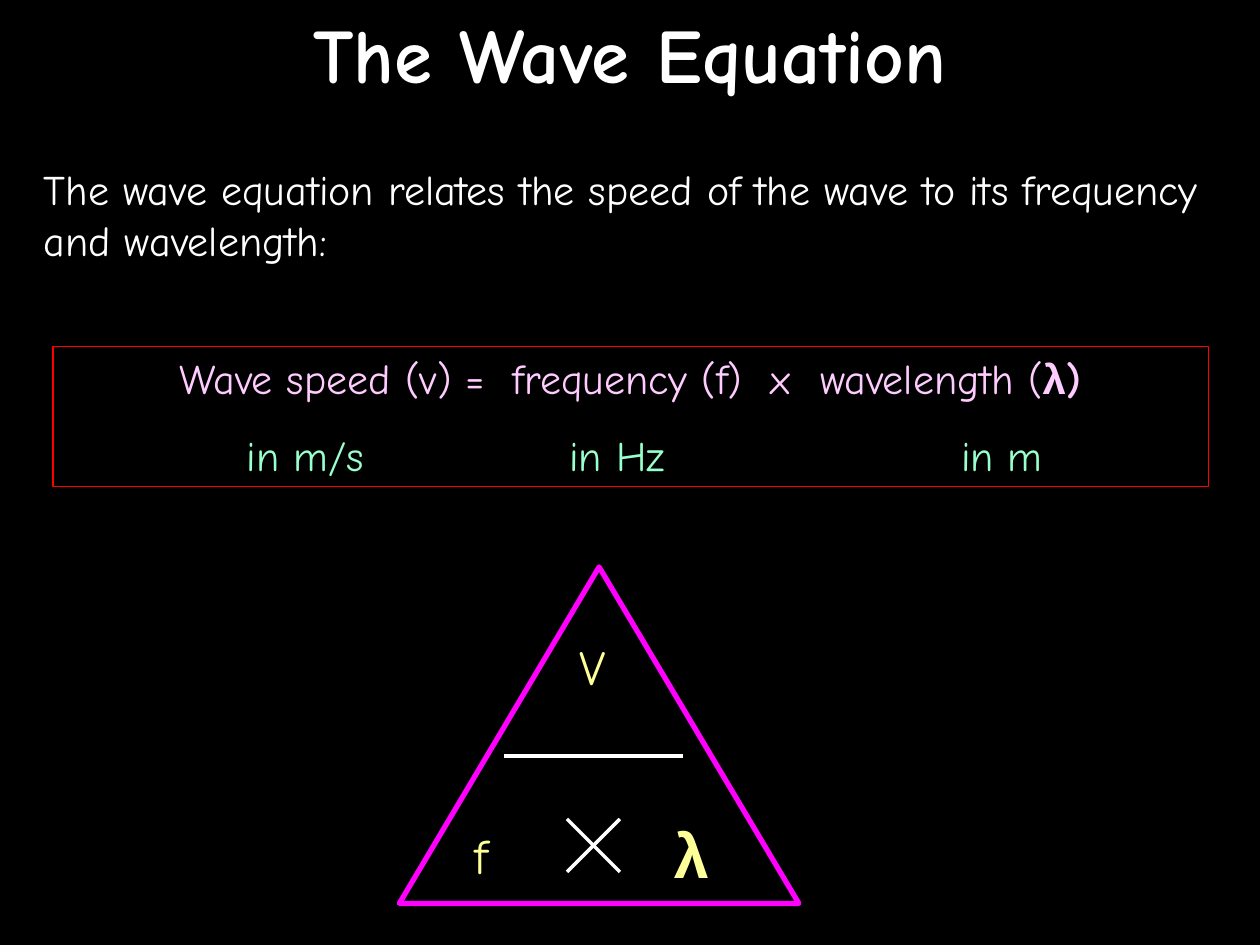
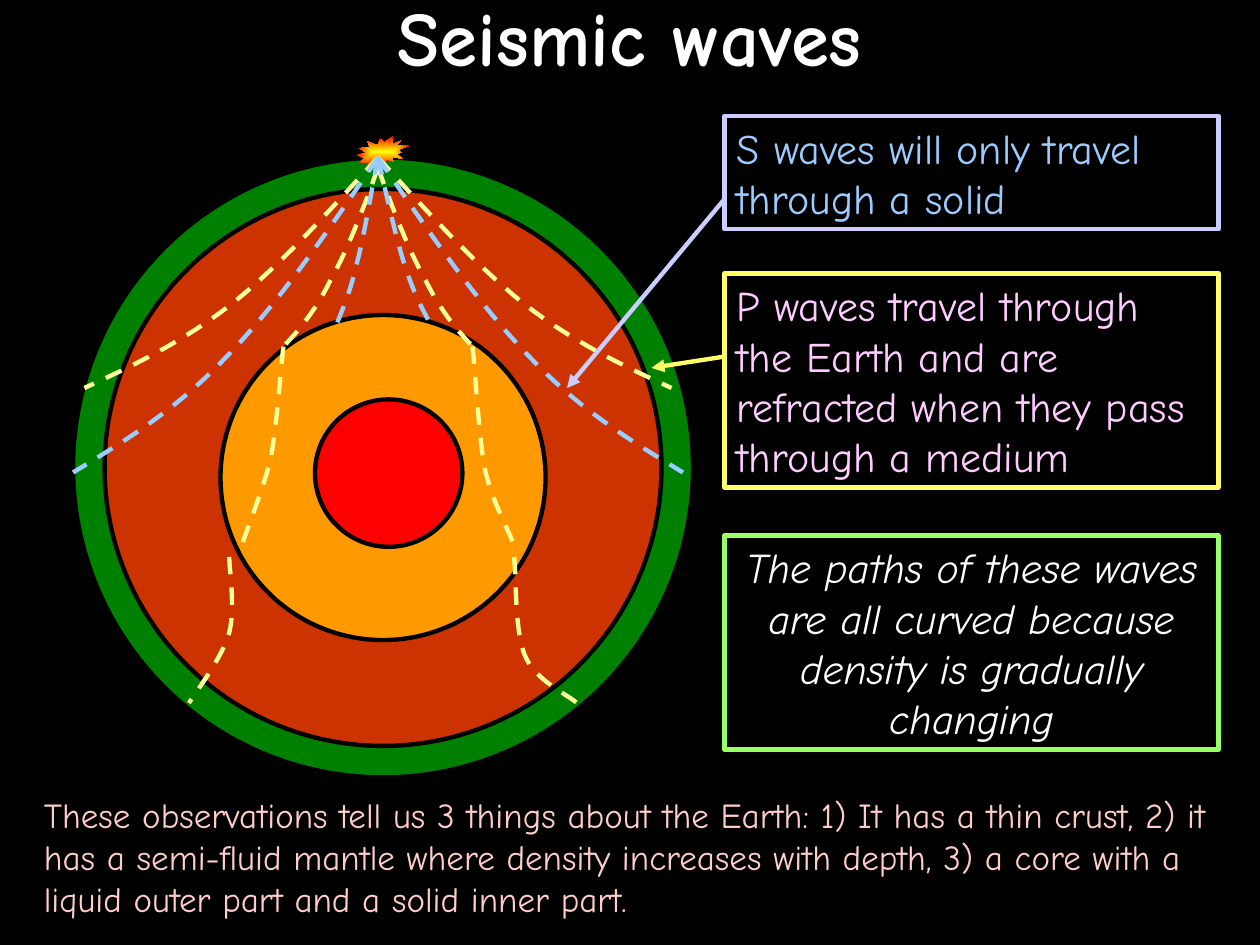
from lxml import etree
from pptx import Presentation
from pptx.dml.color import RGBColor
from pptx.enum import dml, shapes, text
from pptx.oxml.ns import qn
from pptx.util import Inches, Pt

BLACK = RGBColor(0x00, 0x00, 0x00)
WHITE = RGBColor(0xFF, 0xFF, 0xFF)
RED = RGBColor(0xFF, 0x00, 0x00)
YELLOW = RGBColor(0xFF, 0xFF, 0x00)
MAGENTA = RGBColor(0xFF, 0x00, 0xFF)
PINK = RGBColor(0xFF, 0xCC, 0xFF)
SALMON = RGBColor(0xFF, 0xCC, 0xCC)
MINT = RGBColor(0x99, 0xFF, 0xCC)
LIME = RGBColor(0x99, 0xFF, 0x66)
LEMON = RGBColor(0xFF, 0xFF, 0x66)
PALE_YELLOW = RGBColor(0xFF, 0xFF, 0x99)
SKY = RGBColor(0x99, 0xCC, 0xFF)
LILAC = RGBColor(0xCC, 0xCC, 0xFF)
CRUST = RGBColor(0x00, 0x80, 0x00)
MANTLE = RGBColor(0xCC, 0x33, 0x00)
OUTER_CORE = RGBColor(0xFF, 0x99, 0x00)

FONT = "Comic Neue"
SYMBOL_FONT = "Arial"
TITLE_ONLY = 5
LEFT, RIGHT = -1, 1

# Layers of the Earth: left, top, diameter, colour; relative to the crust
LAYERS = [
    (0, 0, 4.92, CRUST),
    (0.25, 0.25, 4.42, MANTLE),
    (1.17, 1.25, 2.58, OUTER_CORE),
    (1.92, 1.92, 1.17, RED),
]

# Bezier points of each ray: distance sideways and depth below the focus
RAYS = [
    (PALE_YELLOW, (LEFT, RIGHT), [(0, 0), (0.39, 0.43), (0.78, 0.86), (1.17, 1.17),
                                  (1.56, 1.47), (1.94, 1.65), (2.33, 1.83)]),
    (PALE_YELLOW, (LEFT, RIGHT), [(0, 0.08), (0.12, 0.42), (0.25, 0.75), (0.38, 0.98),
                                  (0.5, 1.22), (0.62, 1.36), (0.75, 1.5)]),
    (PALE_YELLOW, (LEFT,), [(0.75, 1.5), (0.77, 1.65), (0.8, 2.11), (0.85, 2.38),
                            (0.91, 2.64), (1.04, 2.94), (1.08, 3.08)]),
    (PALE_YELLOW, (RIGHT,), [(0.75, 1.5), (0.77, 1.66), (0.8, 2.22), (0.85, 2.48),
                             (0.91, 2.74), (1.04, 2.96), (1.08, 3.08)]),
    (PALE_YELLOW, (LEFT,), [(1.18, 3.17), (1.18, 3.27), (1.13, 3.57), (1.18, 3.77),
                            (1.23, 3.96), (1.43, 4.22), (1.5, 4.33)]),
    (PALE_YELLOW, (RIGHT,), [(1.08, 3.17), (1.1, 3.3), (1.08, 3.76), (1.17, 3.96),
                             (1.25, 4.15), (1.5, 4.26), (1.58, 4.33)]),
    (SKY, (LEFT, RIGHT), [(0, 0), (0.4, 0.59), (0.8, 1.17), (1.21, 1.59),
                          (1.61, 2.01), (2.01, 2.25), (2.42, 2.5)]),
    (SKY, (LEFT,), [(0, 0), (0.06, 0.31), (0.11, 0.63), (0.17, 0.85),
                    (0.22, 1.07), (0.28, 1.2), (0.33, 1.33)]),
    (SKY, (RIGHT,), [(0, 0), (0.07, 0.31), (0.14, 0.63), (0.21, 0.85),
                     (0.28, 1.07), (0.35, 1.2), (0.42, 1.33)]),
]


def style_font(font, size, colour, name=FONT, bold=False, italic=False):
    font.name, font.size, font.bold, font.italic = name, Pt(size), bold, italic
    font.color.rgb = colour


def growing_frame(shape):
    """Text frame that wraps its text and makes the shape fit it."""
    frame = shape.text_frame
    frame.word_wrap = True
    frame.auto_size = text.MSO_AUTO_SIZE.SHAPE_TO_FIT_TEXT
    return frame


def add_page(deck, title, title_height):
    page = deck.slides.add_slide(deck.slide_layouts[TITLE_ONLY])
    box = page.shapes.title
    box.left, box.top = 0, 0
    box.width, box.height = deck.slide_width, Inches(title_height)
    frame = box.text_frame
    frame.text = title
    frame.auto_size = text.MSO_AUTO_SIZE.NONE
    frame.vertical_anchor = text.MSO_ANCHOR.MIDDLE
    para = frame.paragraphs[0]
    para.alignment = text.PP_ALIGN.CENTER
    style_font(para.font, 44, WHITE, bold=True)
    return page


def add_text(page, box, words, size, colour, **style):
    label = page.shapes.add_textbox(*map(Inches, box))
    para = growing_frame(label).paragraphs[0]
    para.text = words
    style_font(para.font, size, colour, **style)


def add_outline(page, kind, box, colour, width, fill=None):
    shape = page.shapes.add_shape(kind, *map(Inches, box))
    shape.shadow.inherit = False
    if fill is None:
        shape.fill.background()
    else:
        shape.fill.solid()
        shape.fill.fore_color.rgb = fill
    shape.line.color.rgb = colour
    shape.line.width = Pt(width)
    return shape


def add_line(page, start, end, colour, width, arrow=False):
    line = page.shapes.add_connector(
        shapes.MSO_CONNECTOR.STRAIGHT, *map(Inches, (*start, *end)))
    line.line.color.rgb = colour
    line.line.width = Pt(width)
    if arrow:
        etree.SubElement(line.line._get_or_add_ln(), qn("a:tailEnd"), type="triangle")
    etree.SubElement(line._element.spPr, qn("a:effectLst"))


def set_tabs(para, stops):
    tabs = etree.SubElement(para._p.get_or_add_pPr(), qn("a:tabLst"))
    for stop in stops:
        etree.SubElement(tabs, qn("a:tab"), pos=str(Inches(stop)), algn="l")


def add_equation(page, box):
    """Framed equation with the unit of each quantity below it."""
    frame = growing_frame(
        add_outline(page, shapes.MSO_SHAPE.RECTANGLE, box, RED, 0.75))
    equation, units = frame.paragraphs[0], frame.add_paragraph()
    rows = [
        (equation, PINK, (0.91, 3.55, 5.6, 5.99)),
        (units, MINT, (1.44, 4, 7.11)),
    ]
    for para, colour, stops in rows:
        para.alignment = text.PP_ALIGN.LEFT
        set_tabs(para, stops)
        style_font(para.font, 24, colour)
    equation.add_run().text = "\tWave speed (v) =\tfrequency (f)\tx\twavelength ("
    for symbol, name in (("λ", SYMBOL_FONT), (")", FONT)):
        span = equation.add_run()
        span.text = symbol
        style_font(span.font, 24, PINK, name=name, bold=True)
    units.space_before = Pt(15)
    units.add_run().text = "\tin m/s\tin Hz\tin m"


def add_formula_triangle(page, box):
    left, top, _, _ = box
    add_outline(page, shapes.MSO_SHAPE.FLOWCHART_EXTRACT, box, MAGENTA, 3)
    add_text(page, (left + 1.33, top + 0.5, 1, 0.57), "V", 28, PALE_YELLOW)
    add_text(page, (left + 2.08, top + 1.92, 1, 0.7), "λ", 36, PALE_YELLOW,
             name=SYMBOL_FONT, bold=True)
    add_text(page, (left + 0.5, top + 2, 1, 0.57), "f", 28, PALE_YELLOW)
    add_line(page, (left + 0.83, top + 1.5), (left + 2.25, top + 1.5), WHITE, 2)
    cross_left, cross_right = left + 1.33, left + 1.75
    for start, end in ((cross_left, cross_right), (cross_right, cross_left)):
        add_line(page, (start, top + 2.42), (end, top + 2), WHITE, 2)


def add_earth(page, left, top):
    for across, down, size, colour in LAYERS:
        add_outline(page, shapes.MSO_SHAPE.OVAL, (left + across, top + down, size, size),
                    BLACK, 2.5, colour)


def add_quake(page, box):
    """Burst with a gradient that spreads from its centre."""
    burst = page.shapes.add_shape(shapes.MSO_SHAPE.EXPLOSION2, *map(Inches, box))
    burst.shadow.inherit = False
    burst.line.fill.background()
    burst.fill.gradient()
    for stop, colour in zip(burst.fill.gradient_stops, (YELLOW, RED)):
        stop.color.rgb = colour
    gradient = burst._element.spPr.find(qn("a:gradFill"))
    gradient.remove(gradient.find(qn("a:lin")))
    spread = etree.SubElement(gradient, qn("a:path"), {"path": "rect"})
    etree.SubElement(spread, qn("a:fillToRect"), dict.fromkeys("ltrb", "50000"))


def bend(shape):
    """Turn every three straight segments of a freeform into one Bezier curve."""
    segments = list(shape._element.iter(qn("a:lnTo")))
    outline = segments[0].getparent()
    for first in range(0, len(segments), 3):
        curve = etree.SubElement(outline, qn("a:cubicBezTo"))
        for segment in segments[first:first + 3]:
            curve.append(segment[0])
            outline.remove(segment)


def add_rays(page, focus_x, focus_y):
    for colour, sides, points in RAYS:
        for side in sides:
            route = [(Inches(focus_x + side * across), Inches(focus_y + depth))
                     for across, depth in points]
            builder = page.shapes.build_freeform(*route[0])
            builder.add_line_segments(route[1:], close=False)
            ray = builder.convert_to_shape()
            bend(ray)
            ray.shadow.inherit = False
            ray.fill.background()
            ray.line.color.rgb = colour
            ray.line.width = Pt(2.5)
            ray.line.dash_style = dml.MSO_LINE.DASH


def add_note(page, box, words, edge, colour, align=text.PP_ALIGN.LEFT, italic=False):
    frame = growing_frame(
        add_outline(page, shapes.MSO_SHAPE.RECTANGLE, box, edge, 2.5))
    para = frame.paragraphs[0]
    para.text = words
    para.alignment = align
    style_font(para.font, 24, colour, italic=italic)


def add_notes(page, left, top, width):
    add_note(page, (left, top + 1.25, width, 1.7),
             "P waves travel through the Earth and are refracted when they pass "
             "through a medium", LEMON, PINK)
    add_line(page, (left, top + 1.91), (left - 0.58, top + 2), LEMON, 2.5, arrow=True)
    add_note(page, (left, top, width, 0.9),
             "S waves will only travel through a solid", LILAC, SKY)
    add_line(page, (left, top + 0.66), (left - 1.25, top + 2.16), LILAC, 2.5, arrow=True)
    add_note(page, (left, top + 3.33, width, 1.7),
             "The paths of these waves are all curved because density is gradually "
             "changing", LIME, WHITE, text.PP_ALIGN.CENTER, italic=True)


def build_wave_equation(deck):
    page = add_page(deck, "The Wave Equation", 0.84)
    add_text(page, (0.25, 1.25, 9.5, 0.9),
             "The wave equation relates the speed of the wave to its frequency "
             "and wavelength:", 24, WHITE)
    add_equation(page, (0.42, 2.75, 9.17, 1.11))
    add_formula_triangle(page, (3.17, 4.5, 3.17, 2.67))


def build_seismic_waves(deck):
    page = add_page(deck, "Seismic waves", 0.56)
    add_earth(page, 0.58, 1.25)
    add_quake(page, (2.83, 1.08, 0.42, 0.25))
    add_rays(page, 3, 1.25)
    add_notes(page, 5.75, 0.92, 3.92)
    add_text(page, (0.25, 6.25, 9.5, 1.1),
             "These observations tell us 3 things about the Earth: 1) It has a thin "
             "crust, 2) it has a semi-fluid mantle where density increases with depth, "
             "3) a core with a liquid outer part and a solid inner part.", 20, SALMON)


def main():
    deck = Presentation()
    deck.slide_width, deck.slide_height = Inches(10), Inches(7.5)
    backdrop = deck.slide_master.background.fill
    backdrop.solid()
    backdrop.fore_color.rgb = BLACK
    build_wave_equation(deck)
    build_seismic_waves(deck)
    deck.save("out.pptx")


if __name__ == "__main__":
    main()
